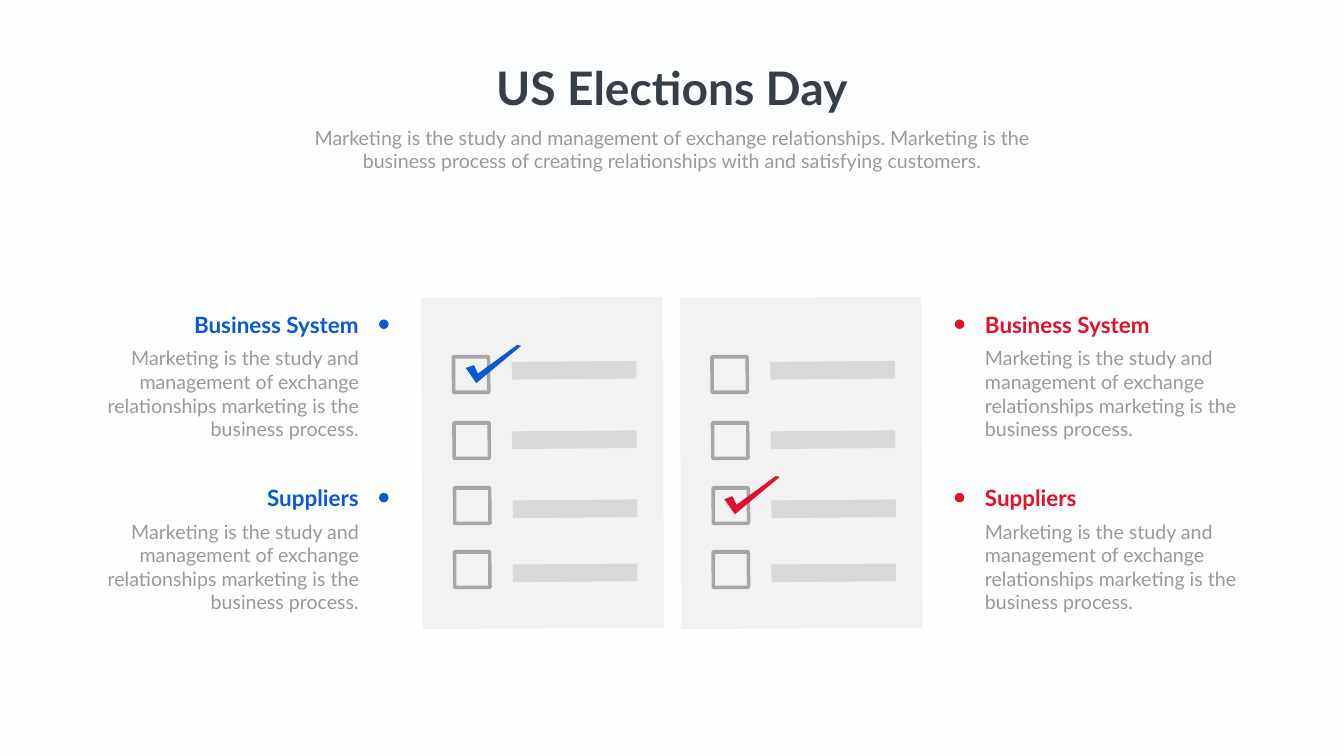
from dataclasses import dataclass

from pptx import Presentation
from pptx.dml.color import RGBColor
from pptx.enum.shapes import MSO_SHAPE
from pptx.enum.text import MSO_ANCHOR, MSO_AUTO_SIZE, PP_ALIGN
from pptx.util import Cm, Pt


@dataclass(frozen=True)
class Theme:
    font: str = "Lato"
    title: int = 66
    head: int = 32
    body: int = 28
    back: str = "FDFFFE"
    dark: str = "363E48"
    gray: str = "999999"
    paper: str = "F2F2F2"
    frame: str = "A6A6A6"
    bar: str = "D9D9D9"
    blue: str = "0A59D2"
    red: str = "E1102D"


SHEET = [(0, 0.05), (12.17, 0), (12.25, 16.69), (0.1, 16.74)]
BAR = [(0, 0.05), (6.28, 0), (6.29, 0.89), (0.02, 0.94)]
TICK = [(0, 1.17), (0.41, 1.02), (0.61, 1.45), (2.59, 0), (2.79, 0.05), (0.53, 1.93)]
RIM = [(0.1, 0), (1.87, 0), (1.95, 0.1), (1.97, 1.88),
       (1.88, 1.98), (0.1, 1.98), (0.02, 1.9), (0, 0.1)]
HOLE = [(0.19, 0.2), (0.19, 1.8), (1.79, 1.8), (1.78, 0.2)]
ROWS = [(1.54, 17.88, 4.57, 18.19), (1.57, 21.21, 4.58, 21.69),
        (1.6, 24.49, 4.62, 25.17), (1.6, 27.71, 4.62, 28.4)]
TOPICS = [("Business System", 15.54), ("Suppliers", 24.28)]
BLURB = ("Marketing is the study and management of exchange relationships "
         "marketing is the business process.")
LEAD = ("Marketing is the study and management of exchange relationships. Marketing is "
        "the business process of creating relationships with and satisfying customers.")


class Page:
    def __init__(self, deck, theme):
        self.theme = theme
        self.slide = deck.slides.add_slide(deck.slide_layouts[5])
        self.shapes = self.slide.shapes
        fill = self.slide.background.fill
        fill.solid()
        fill.fore_color.rgb = RGBColor.from_string(theme.back)

    def paint(self, shape, color):
        shape.fill.solid()
        shape.fill.fore_color.rgb = RGBColor.from_string(color)
        shape.line.fill.background()
        shape.shadow.inherit = False

    def style(self, frame, text, size, color, align, bold=False, wrap=True):
        frame.text = text
        frame.word_wrap = wrap
        frame.auto_size = MSO_AUTO_SIZE.SHAPE_TO_FIT_TEXT
        frame.vertical_anchor = MSO_ANCHOR.TOP
        line = frame.paragraphs[0]
        line.alignment = align
        line.font.name = self.theme.font
        line.font.size = Pt(size)
        line.font.bold = bold
        line.font.color.rgb = RGBColor.from_string(color)

    def title(self, text, left, top, width, height):
        box = self.shapes.title
        box.left, box.top = Cm(left), Cm(top)
        box.width, box.height = Cm(width), Cm(height)
        self.style(box.text_frame, text, self.theme.title, self.theme.dark,
                   PP_ALIGN.CENTER, bold=True, wrap=False)

    def text(self, text, left, top, width, height, size, color, align, bold=False):
        box = self.shapes.add_textbox(Cm(left), Cm(top), Cm(width), Cm(height))
        self.style(box.text_frame, text, size, color, align, bold)

    def form(self, left, top, color, *rings):
        pen = None
        for ring in rings:
            first, *rest = [(Cm(left + x), Cm(top + y)) for x, y in ring]
            if pen is None:
                pen = self.shapes.build_freeform(*first)
            else:
                pen.move_to(*first)
            pen.add_line_segments(rest, close=True)
        self.paint(pen.convert_to_shape(), color)

    def dot(self, left, top, color):
        size = Cm(0.48)
        self.paint(self.shapes.add_shape(MSO_SHAPE.OVAL, Cm(left), Cm(top), size, size), color)

    def ballot(self, left, pick, color):
        theme = self.theme
        self.form(left, 14.96, theme.paper, SHEET)
        for box, top, bar, level in ROWS:
            self.form(left + box, top, theme.frame, RIM, HOLE)
            self.form(left + bar, level, theme.bar, BAR)
        self.form(left + 2.26, ROWS[pick][1] - 0.5, color, TICK)

    def topic(self, name, edge, top, dot, color, align):
        theme = self.theme
        for text, drop, width, height, size, tint, bold in (
            (name, 0, 9.98, 1.63, theme.head, color, True),
            (BLURB, 1.79, 13.46, 5.05, theme.body, theme.gray, False),
        ):
            left = edge - width if align == PP_ALIGN.RIGHT else edge
            self.text(text, left, top + drop, width, height, size, tint, align, bold)
        self.dot(dot, top + 0.56, color)


def main():
    deck = Presentation()
    deck.slide_width, deck.slide_height = Cm(67.72), Cm(38.1)
    theme = Theme()
    page = Page(deck, theme)
    page.title("US Elections Day", 24.61, 2.84, 18.49, 3.07)
    page.text(LEAD, 13.89, 6.2, 39.93, 2.64, theme.body, theme.gray, PP_ALIGN.CENTER)
    for sheet, pick, edge, dot, color, align in (
        (21.21, 0, 18.33, 19.1, theme.blue, PP_ALIGN.RIGHT),
        (34.24, 2, 49.38, 48.11, theme.red, PP_ALIGN.LEFT),
    ):
        page.ballot(sheet, pick, color)
        for name, top in TOPICS:
            page.topic(name, edge, top, dot, color, align)
    deck.save("out.pptx")


if __name__ == "__main__":
    main()
